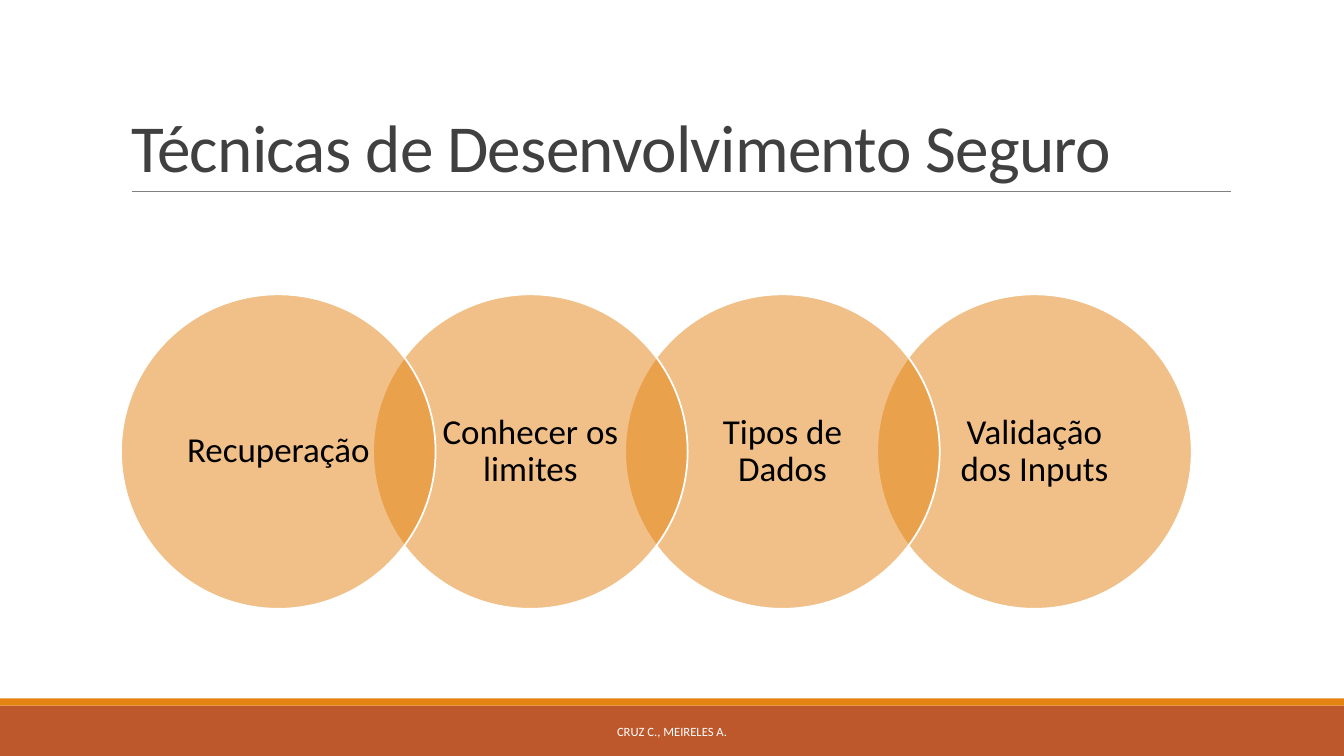
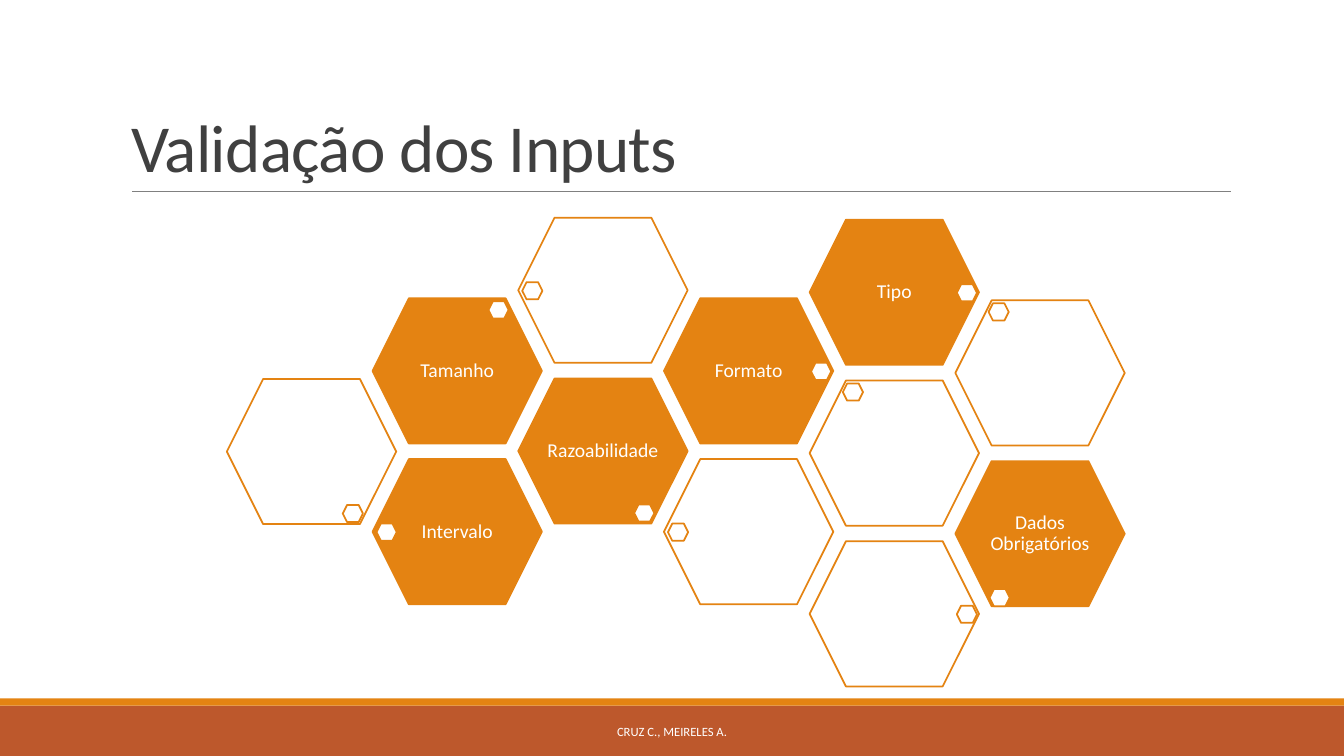
from dataclasses import dataclass
from enum import Enum

from lxml import etree
from pptx import Presentation
from pptx.dml.color import RGBColor
from pptx.enum import shapes, text
from pptx.oxml.ns import qn
from pptx.util import Inches, Pt

COLORS = {
    "orange": "E48312",
    "rust": "BD582C",
    "rule": "808080",
    "title": "404040",
    "black": "000000",
    "white": "FFFFFF",
}
FONT = "Calibri"
FOOTER = "CRUZ C., MEIRELES A."
OUTLINE_PT = 1.25
SLIDE_WIDTH, SLIDE_HEIGHT = 13.33, 7.5

TECHNIQUES = ("Recuperação", "Conhecer os limites", "Tipos de Dados", "Validação dos Inputs")
CIRCLE_LEFT, CIRCLE_TOP, CIRCLE_SIZE, CIRCLE_PITCH = 1.2, 2.92, 3.12, 2.5

HEX_LEFT, HEX_WIDTH, HEX_HEIGHT = 2.25, 1.68, 1.44
COLUMN_TOPS = (3.76, 2.96, 2.16, 2.96, 2.18, 2.98)
COLUMN_PITCH, ROW_PITCH = 1.445, 1.595
MARKER_WIDTH, MARKER_HEIGHT = 0.2, 0.17


class Corner(Enum):
    """Offset of a marker from the top left of its cell."""
    LEFT = (0.04, 0.64)
    RIGHT = (1.46, 0.64)
    TOP_LEFT = (0.33, 0.03)
    TOP_RIGHT = (1.15, 0.03)
    BOTTOM_LEFT = (0.34, 1.27)
    BOTTOM_RIGHT = (1.15, 1.25)


@dataclass(frozen=True)
class Cell:
    column: int
    row: int
    marker: Corner
    label: str = ""


CELLS = (
    Cell(1, 1, Corner.LEFT, "Intervalo"),
    Cell(0, 0, Corner.BOTTOM_RIGHT),
    Cell(2, 1, Corner.BOTTOM_RIGHT, "Razoabilidade"),
    Cell(3, 1, Corner.LEFT),
    Cell(1, 0, Corner.TOP_RIGHT, "Tamanho"),
    Cell(2, 0, Corner.LEFT),
    Cell(3, 0, Corner.RIGHT, "Formato"),
    Cell(4, 1, Corner.TOP_LEFT),
    Cell(4, 0, Corner.RIGHT, "Tipo"),
    Cell(5, 0, Corner.TOP_LEFT),
    Cell(5, 1, Corner.BOTTOM_LEFT, "Dados Obrigatórios"),
    Cell(4, 2, Corner.RIGHT),
)


def rgb(name: str) -> RGBColor:
    return RGBColor.from_string(COLORS[name])


def add_preset(slide, kind, left: float, top: float, width: float, height: float,
               fill: str | None, line: str | None = None):
    shape = slide.shapes.add_shape(
        kind, Inches(left), Inches(top), Inches(width), Inches(height))
    shape.shadow.inherit = False
    if fill:
        shape.fill.solid()
        shape.fill.fore_color.rgb = rgb(fill)
    else:
        shape.fill.background()
    if line:
        shape.line.color.rgb = rgb(line)
        shape.line.width = Pt(OUTLINE_PT)
    else:
        shape.line.fill.background()
    return shape


def write(shape, words: str, size: float, color: str, spacing: float = 1.0,
          align=text.PP_ALIGN.CENTER, anchor=text.MSO_ANCHOR.MIDDLE,
          insets: tuple[float, float] = (0.1, 0.05)):
    """Fill a shape with one styled paragraph and return that paragraph."""
    frame = shape.text_frame
    frame.word_wrap = True
    frame.auto_size = text.MSO_AUTO_SIZE.NONE
    frame.vertical_anchor = anchor
    frame.margin_left = frame.margin_right = Inches(insets[0])
    frame.margin_top = frame.margin_bottom = Inches(insets[1])
    paragraph = frame.paragraphs[0]
    paragraph.text = words
    paragraph.alignment = align
    paragraph.line_spacing = spacing
    paragraph.font.name = FONT
    paragraph.font.size = Pt(size)
    paragraph.font.color.rgb = rgb(color)
    return paragraph


def add_titled_slide(deck, heading: str):
    """Add a slide with the shared bands, title, rule and footer."""
    slide = deck.slides.add_slide(deck.slide_layouts[5])
    rectangle = shapes.MSO_SHAPE.RECTANGLE
    add_preset(slide, rectangle, 0, 7, SLIDE_WIDTH, 0.5, "rust")
    add_preset(slide, rectangle, 0, 6.93, SLIDE_WIDTH, 0.07, "orange")

    rule = slide.shapes.add_connector(
        shapes.MSO_CONNECTOR.STRAIGHT, Inches(1.31), Inches(1.9), Inches(12.21), Inches(1.9))
    rule.line.color.rgb = rgb("rule")
    rule.line.width = Pt(0.5)
    etree.SubElement(rule.element.spPr, qn("a:effectLst"))

    title = slide.shapes.title
    title.left, title.top = Inches(1.2), Inches(0.31)
    title.width, title.height = Inches(11), Inches(1.59)
    paragraph = write(title, heading, 48, "title", 0.85,
                      text.PP_ALIGN.LEFT, text.MSO_ANCHOR.BOTTOM)
    for properties in title.element.iter(qn("a:defRPr")):
        properties.set("spc", "-50")

    footer = slide.shapes.add_textbox(Inches(4.03), Inches(7.06), Inches(5.27), Inches(0.4))
    write(footer, FOOTER, 9, "white")
    return slide


def set_opacity(shape, percent: int) -> None:
    color = shape.element.spPr.find(f"{qn('a:solidFill')}/{qn('a:srgbClr')}")
    etree.SubElement(color, qn("a:alpha"), val=str(percent * 1000))


def add_technique_circles(slide) -> None:
    """Draw the chain from right to left, so each circle overlaps the next."""
    for index, technique in reversed(list(enumerate(TECHNIQUES))):
        circle = add_preset(slide, shapes.MSO_SHAPE.OVAL,
                            CIRCLE_LEFT + index * CIRCLE_PITCH, CIRCLE_TOP,
                            CIRCLE_SIZE, CIRCLE_SIZE, "orange", "white")
        set_opacity(circle, 50)
        write(circle, technique, 25, "black", 0.9, insets=(0.17, 0.03))


def add_cell(slide, cell: Cell) -> None:
    hexagon = shapes.MSO_SHAPE.HEXAGON
    left = HEX_LEFT + cell.column * COLUMN_PITCH
    top = COLUMN_TOPS[cell.column] + cell.row * ROW_PITCH
    body = add_preset(slide, hexagon, left, top, HEX_WIDTH, HEX_HEIGHT,
                      "orange" if cell.label else None, "orange")
    if cell.label:
        write(body, cell.label, 14, "white", 0.9, insets=(0, 0.02))
    right, down = cell.marker.value
    add_preset(slide, hexagon, left + right, top + down,
               MARKER_WIDTH, MARKER_HEIGHT, "white", "orange")


def main() -> None:
    deck = Presentation()
    deck.slide_width, deck.slide_height = Inches(SLIDE_WIDTH), Inches(SLIDE_HEIGHT)

    add_technique_circles(add_titled_slide(deck, "Técnicas de Desenvolvimento Seguro"))

    validation = add_titled_slide(deck, "Validação dos Inputs")
    for cell in CELLS:
        add_cell(validation, cell)

    deck.save("out.pptx")


if __name__ == "__main__":
    main()
